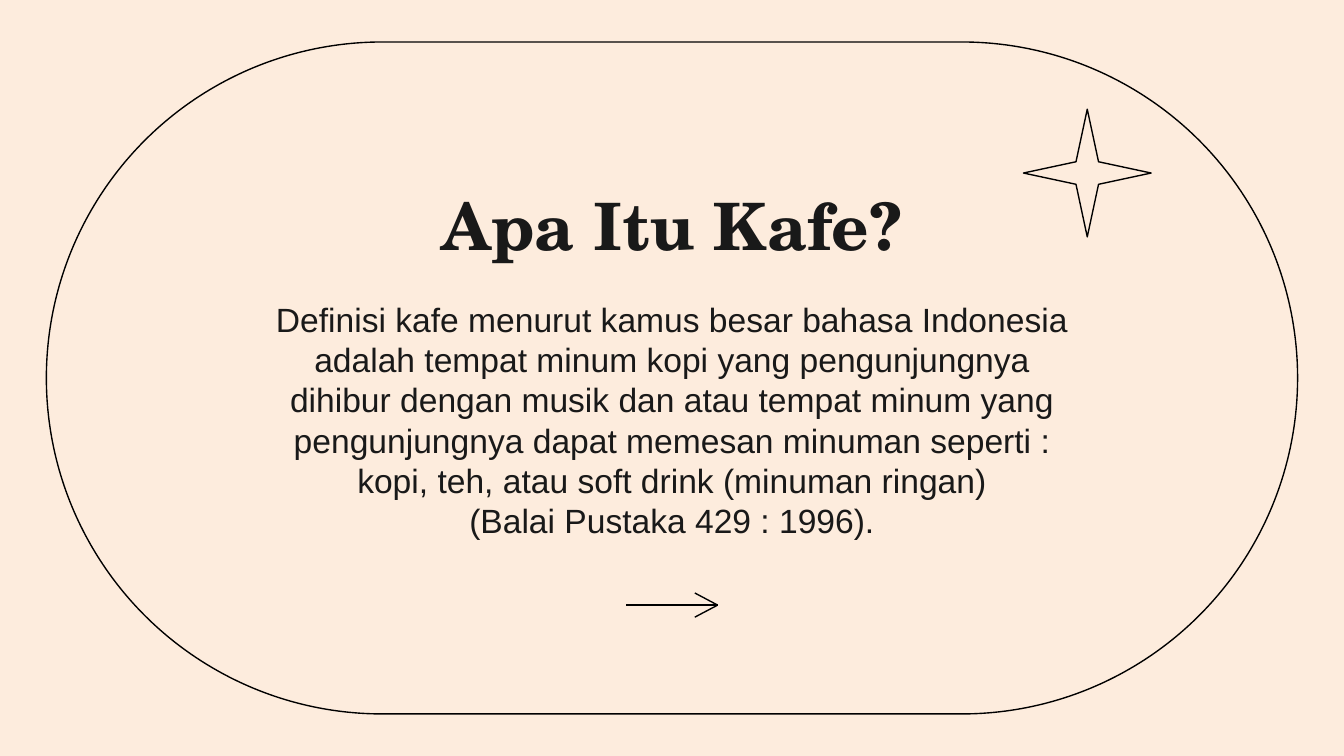
from lxml.etree import SubElement
from pptx import Presentation
from pptx.dml.color import RGBColor
from pptx.enum.shapes import MSO_CONNECTOR, MSO_SHAPE
from pptx.enum.text import MSO_ANCHOR, PP_ALIGN
from pptx.oxml.ns import qn
from pptx.util import Inches, Pt

PAGE_WIDTH = 10
PAGE_HEIGHT = PAGE_WIDTH * 9 / 16
COLOURS = {"background": "FDECDD", "line": "000000", "text": "191919"}
TITLE_FONT = {"name": "TeX Gyre Schola", "size": Pt(35), "bold": True}
BODY_FONT = {"name": "Arial", "size": Pt(18), "bold": False}
DEFINITION = [
    "Definisi kafe menurut kamus besar bahasa Indonesia adalah tempat minum kopi "
    "yang pengunjungnya dihibur dengan musik dan atau tempat minum yang "
    "pengunjungnya dapat memesan minuman seperti : kopi, teh, atau soft drink "
    "(minuman ringan)",
    "(Balai Pustaka 429 : 1996).",
]


def colour(name):
    """Return the named palette colour."""
    return RGBColor.from_string(COLOURS[name])


def style_line(line):
    """Apply the thin outline used by every drawn part."""
    line.color.rgb = colour("line")
    line.width = Pt(0.75)


def add_outline(page, kind, box, adjustment):
    """Draw an unfilled preset shape in the given box."""
    shape = page.shapes.add_shape(kind, *map(Inches, box))
    shape.adjustments[0] = adjustment
    shape.shadow.inherit = False
    shape.fill.background()
    style_line(shape.line)


def write_text(shape, box, paragraphs, font, anchor):
    """Place a text shape and fill it with centred paragraphs."""
    shape.left, shape.top, shape.width, shape.height = map(Inches, box)
    frame = shape.text_frame
    frame.word_wrap = True
    frame.vertical_anchor = anchor
    for side in ("left", "top", "right", "bottom"):
        setattr(frame, f"margin_{side}", Inches(0.1))
    frame.text = "\n".join(paragraphs)
    for para in frame.paragraphs:
        para.alignment = PP_ALIGN.CENTER
        para.line_spacing = 1.0
        para.space_before = Pt(0)
        for span in para.runs:
            span.font.color.rgb = colour("text")
            for key, value in font.items():
                setattr(span.font, key, value)


def add_arrow(page, box):
    """Draw a grouped arrow pointing right across the given box."""
    left, top, width, height = box
    tip = (left + width, top + height / 2)
    barb_left = left + 0.75 * width
    group = page.shapes.add_group_shape()
    for start in ((left, tip[1]), (barb_left, top), (barb_left, top + height)):
        stroke = group.shapes.add_connector(
            MSO_CONNECTOR.STRAIGHT, *map(Inches, start + tip)
        )
        style_line(stroke.line)
        SubElement(stroke._element.spPr, qn("a:effectLst"))


def build_definition_page(deck, box):
    """Build the definition page inside the given frame box."""
    page = deck.slides.add_slide(deck.slide_layouts[5])
    page.background.fill.solid()
    page.background.fill.fore_color.rgb = colour("background")
    left, top, width, height = box
    centre = left + width / 2
    text_width = 6.1
    text_left = centre - text_width / 2
    arrow_width = 0.68

    add_outline(page, MSO_SHAPE.ROUNDED_RECTANGLE, box, 0.5)
    add_outline(
        page, MSO_SHAPE.STAR_4_POINT, (left + 7.27, top + 0.5, 0.95, 0.95), 0.125
    )
    write_text(
        page.shapes.title, (text_left, top + 1.04, text_width, 0.71),
        ["Apa Itu Kafe?"], TITLE_FONT, MSO_ANCHOR.BOTTOM,
    )
    add_arrow(page, (centre - arrow_width / 2, top + 4.1, arrow_width, 0.18))
    body_box = (text_left, top + 2.16, text_width, 1.3)
    body = page.shapes.add_textbox(*map(Inches, body_box))
    write_text(body, body_box, DEFINITION, BODY_FONT, MSO_ANCHOR.MIDDLE)


def main():
    """Create and save the deck with its frame centred on the page."""
    deck = Presentation()
    deck.slide_width, deck.slide_height = Inches(PAGE_WIDTH), Inches(PAGE_HEIGHT)
    width, height = 9.31, 5
    left, top = (PAGE_WIDTH - width) / 2, (PAGE_HEIGHT - height) / 2
    build_definition_page(deck, (left, top, width, height))
    deck.save("out.pptx")


if __name__ == "__main__":
    main()
